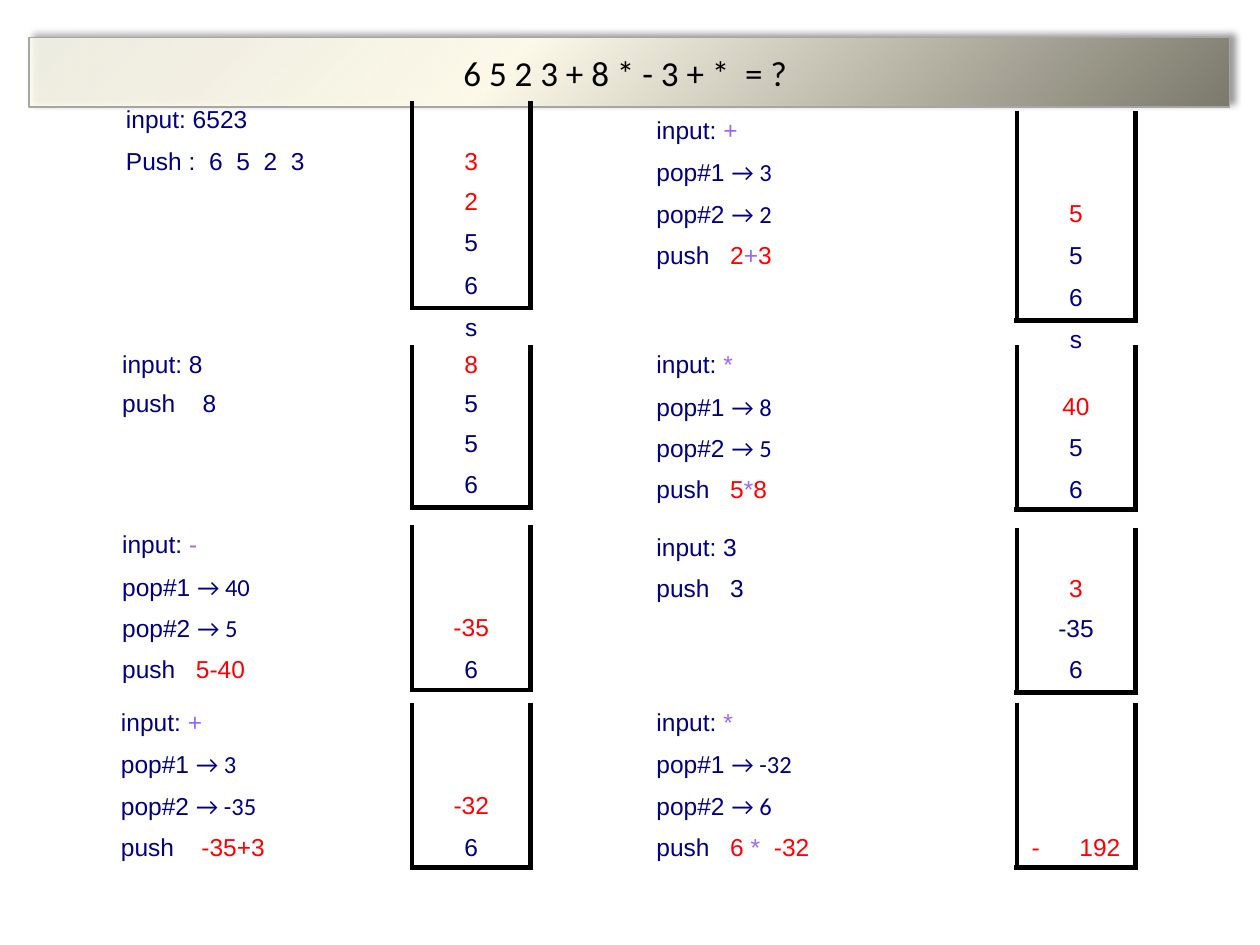
from dataclasses import dataclass
from typing import NamedTuple

from lxml.etree import SubElement
from pptx import Presentation
from pptx.dml.color import RGBColor
from pptx.enum.text import MSO_ANCHOR, PP_ALIGN
from pptx.oxml import parse_xml
from pptx.oxml.ns import nsdecls, qn
from pptx.util import Inches, Pt

COLORS = {
    "navy": "000080", "red": "FF0000", "violet": "9966FF", "black": "000000",
    "edge": "A6A6A6", "cream": "FEFCEE", "ivory": "FDFAEA", "olive": "7B796B",
}
STACK_WIDTH = 0.94
RIGHT_LEFT, RIGHT_LABEL = 5.12, 2.95
TEXT_SIZE = Pt(14)


class Span(NamedTuple):
    text: str
    color: str = "navy"
    font: str = "Arial"


@dataclass
class Step:
    """One input symbol: what is done, and the stack afterwards."""
    left: float
    top: float
    height: float
    label_width: float
    rows: list[float]
    lines: list[list[Span]]
    stack: list[str]    # top to bottom
    depth: int          # rows inside the stack walls
    pushed: int = 1     # red values on top of the stack
    caption: str = ""


def pops(first: str, second: str) -> list[list[Span]]:
    return [[Span(f"pop#{number} "), Span(f"→ {value}", font="Calibri")]
            for number, value in enumerate((first, second), 1)]


def operation(symbol: str, first: str, second: str, *result: Span) -> list[list[Span]]:
    return [[Span("input: "), Span(symbol, "violet")], *pops(first, second), list(result)]


def plain(*texts: str) -> list[list[Span]]:
    return [[Span(text)] for text in texts]


PUSH = Span("push   ")
TALL = [0.21, 0.21, 0.17, 0.34, 0.21, 0.21]
SHORT = [0.21, 0.17, 0.21, 0.21, 0]
EVEN = [0.21, 0.21, 0.21, 0.21, 0]
LAST = [0.21, 0.21, 0.21, 0.17]

STEPS = [
    Step(0.91, 0.8, 2.01, 2.36, TALL, plain("input: 6523", "Push :  6  5  2  3"),
         ["3", "2", "5", "6"], 5, pushed=2, caption="s"),
    Step(RIGHT_LEFT, 0.88, 2.01, RIGHT_LABEL, TALL,
         operation("+", "3", "2", PUSH, Span("2", "red"), Span("+", "violet"), Span("3", "red")),
         ["5", "5", "6"], 5, caption="s"),
    Step(0.88, 2.74, 1.67, 2.39, SHORT, plain("input: 8", "push    8"),
         ["8", "5", "5", "6"], 4),
    Step(RIGHT_LEFT, 2.74, 1.67, RIGHT_LABEL, SHORT,
         operation("*", "8", "5", PUSH, Span("5", "red"), Span("*", "violet"), Span("8", "red")),
         ["40", "5", "6"], 4),
    Step(0.88, 4.17, 1.67, 2.39, EVEN,
         operation("-", "40", "5", PUSH, Span("5-40", "red")), ["-35", "6"], 4),
    Step(RIGHT_LEFT, 4.19, 1.67, RIGHT_LABEL, EVEN, plain("input: 3", "push   3"),
         ["3", "-35", "6"], 4),
    Step(0.87, 5.58, 1.33, 2.4, LAST,
         operation("+", "3", "-35", Span("push"), Span("    -35+3", "red")), ["-32", "6"], 4),
    Step(RIGHT_LEFT, 5.58, 1.33, RIGHT_LABEL, LAST,
         operation("*", "-32", "6", PUSH, Span("6 ", "red"), Span("*  ", "violet"),
                   Span("-32", "red")),
         ["-\t192"], 4),
]


def set_borders(cell, walls: str) -> None:
    """Black lines on the sides named in walls (L, R, T, B), none elsewhere."""
    properties = cell._tc.get_or_add_tcPr()
    for position, side in enumerate("LRTB"):
        if side in walls:
            paint = f'<a:solidFill><a:srgbClr val="{COLORS["black"]}"/></a:solidFill>'
        else:
            paint = "<a:noFill/>"
        line = parse_xml(f'<a:ln{side} {nsdecls("a")} w="{Pt(3)}">{paint}</a:ln{side}>')
        properties.insert(position, line)


def fill_cell(cell, spans: list[Span], walls: str, centered: bool = False) -> None:
    cell.margin_top = cell.margin_bottom = Pt(3.4)
    cell.margin_left = cell.margin_right = Inches(0.09)
    cell.fill.background()
    set_borders(cell, walls)
    para = cell.text_frame.paragraphs[0]
    para.font.size = TEXT_SIZE
    if not spans:
        SubElement(para._p, qn("a:endParaRPr"), sz="1400")
        return
    # Hanging indent
    properties = para._p.get_or_add_pPr()
    properties.set("marL", str(Inches(0.38)))
    properties.set("indent", str(Inches(-0.38)))
    if centered:
        para.alignment = PP_ALIGN.CENTER
    if any("\t" in span.text for span in spans):
        properties.insert(0, parse_xml(
            f'<a:tabLst {nsdecls("a")}><a:tab pos="{Inches(0.3)}" algn="ctr"/></a:tabLst>'))
    for span in spans:
        run = para.add_run()
        run.text = span.text
        run.font.size = TEXT_SIZE
        run.font.name = span.font
        run.font.color.rgb = RGBColor.from_string(COLORS[span.color])


def draw_step(page, step: Step) -> None:
    frame = page.shapes.add_table(
        len(step.rows), 2, Inches(step.left), Inches(step.top),
        Inches(step.label_width + STACK_WIDTH), Inches(step.height))
    table = frame.table
    table.first_row = table.horz_banding = False
    for column, width in zip(table.columns, (step.label_width, STACK_WIDTH)):
        column.width = Inches(width)
    for row, height in zip(table.rows, step.rows):
        row.height = Inches(height)
    frame.height = Inches(step.height)

    first_value = step.depth - len(step.stack)
    for index in range(len(step.rows)):
        inside = index < step.depth
        label = step.lines[index] if index < len(step.lines) else []
        fill_cell(table.cell(index, 0), label, "R" if inside else "")

        value, walls = [], "LR"
        if not inside:
            walls = "T" if index == step.depth else ""
            value = [Span(step.caption)] if step.caption else []
        elif index >= first_value:
            place = index - first_value
            value = [Span(step.stack[place], "red" if place < step.pushed else "navy")]
        if index == step.depth - 1:
            walls += "B"
        fill_cell(table.cell(index, 1), value, walls, centered=True)


def draw_title(page, text: str) -> None:
    title = page.shapes.title
    title.left, title.top = Inches(0.23), Inches(0.3)
    title.width, title.height = Inches(9.53), Inches(0.55)
    title.line.color.rgb = RGBColor.from_string(COLORS["edge"])
    title.line.width = Pt(0.75)
    # Diagonal gradient and soft shadow
    properties = title._element.spPr
    outline = properties.find(qn("a:ln"))
    outline.addprevious(parse_xml(
        f'<a:gradFill {nsdecls("a")} rotWithShape="1"><a:gsLst>'
        f'<a:gs pos="0"><a:srgbClr val="{COLORS["cream"]}"><a:alpha val="79000"/></a:srgbClr></a:gs>'
        f'<a:gs pos="40000"><a:srgbClr val="{COLORS["ivory"]}"/></a:gs>'
        f'<a:gs pos="100000"><a:srgbClr val="{COLORS["olive"]}"/></a:gs>'
        f'</a:gsLst><a:lin ang="2700000" scaled="0"/></a:gradFill>'))
    outline.addnext(parse_xml(
        f'<a:effectLst {nsdecls("a")}><a:outerShdw blurRad="{Pt(4)}" dist="{Pt(3)}" '
        f'dir="18900000" algn="bl" rotWithShape="0"><a:srgbClr val="{COLORS["black"]}">'
        f'<a:alpha val="40000"/></a:srgbClr></a:outerShdw></a:effectLst>'))
    title.text_frame.text = text
    title.text_frame.vertical_anchor = MSO_ANCHOR.MIDDLE
    para = title.text_frame.paragraphs[0]
    para.alignment = PP_ALIGN.CENTER
    para.font.size = Pt(20)
    para.font.name = "Calibri"
    para.font.color.rgb = RGBColor.from_string(COLORS["black"])


def main() -> None:
    deck = Presentation()
    deck.slide_width, deck.slide_height = Inches(10), Inches(7.5)
    page = deck.slides.add_slide(deck.slide_layouts[5])
    draw_title(page, "6 5 2 3 + 8 * - 3 + *  = ? ")
    for step in STEPS:
        draw_step(page, step)
    deck.save("out.pptx")


if __name__ == "__main__":
    main()
